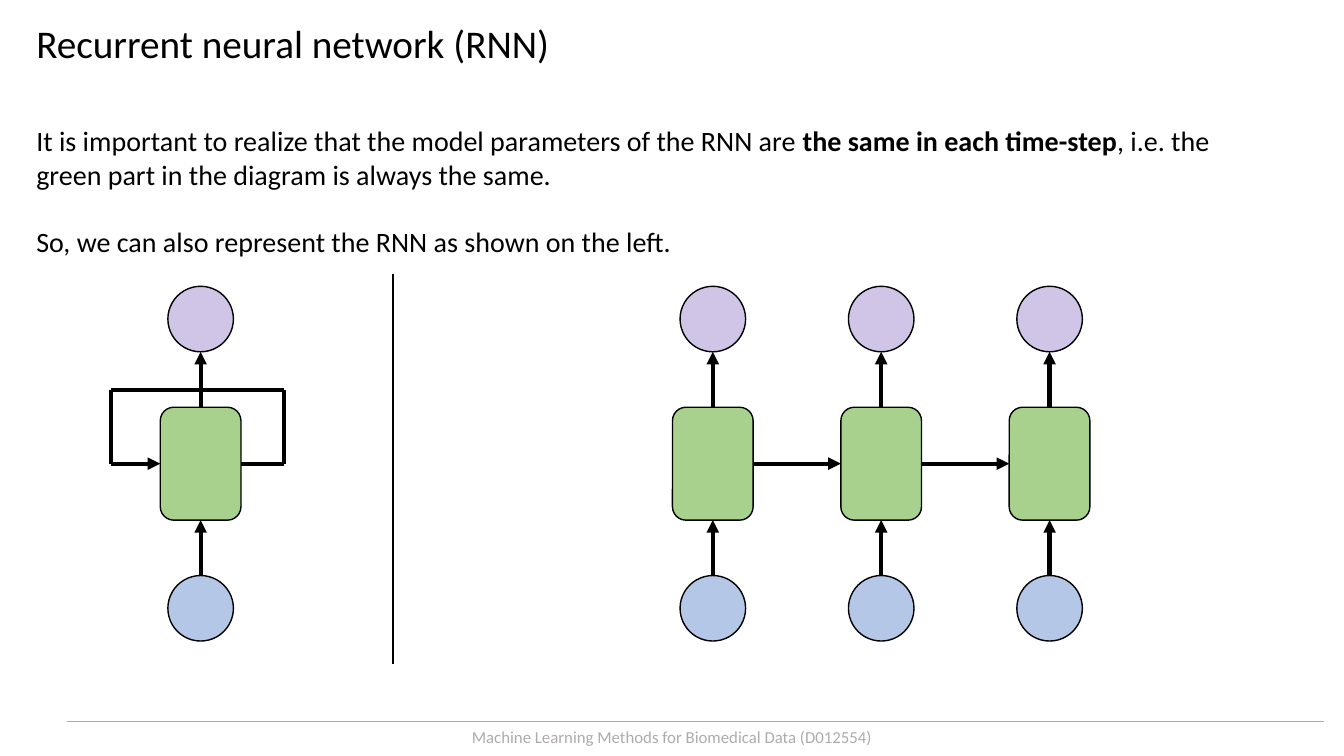
from lxml import etree
from pptx import Presentation
from pptx.dml.color import RGBColor
from pptx.enum.shapes import MSO_CONNECTOR, MSO_SHAPE
from pptx.enum.text import MSO_ANCHOR, MSO_AUTO_SIZE, PP_ALIGN
from pptx.oxml.ns import qn
from pptx.util import Inches, Pt

STRAIGHT = MSO_CONNECTOR.STRAIGHT
ROUNDED = MSO_SHAPE.ROUNDED_RECTANGLE
OVAL = MSO_SHAPE.OVAL
TOP = MSO_ANCHOR.TOP
NO_FIT = MSO_AUTO_SIZE.NONE
LEFT, CENTER = PP_ALIGN.LEFT, PP_ALIGN.CENTER
SIDE_TOP, SIDE_LEFT, SIDE_BOTTOM, SIDE_RIGHT = range(4)

COLORS = {
    "black": "000000",
    "cell": "A9D18E",
    "input": "B4C7E7",
    "output": "D0C5E7",
    "footer": "AFABAB",
}
FONT = "Calibri"

CELL_W, CELL_H, CELL_Y = 0.8, 1.12, 4.04
NODE_D, INPUT_Y, OUTPUT_Y = 0.65, 5.71, 2.84
MID_Y = CELL_Y + CELL_H / 2
FOLDED_X = 1.99
UNROLLED_X = [7.07 + 1.67 * i for i in range(3)]
LOOP_LEFT, LOOP_RIGHT, LOOP_TOP = 1.1, 2.82, 3.87


def rgb(name):
    return RGBColor.from_string(COLORS[name])


def write(p, text, size=20, color="black", bold=False, align=LEFT, before=0):
    p.alignment = align
    p.space_before = Pt(before)
    r = p.add_run()
    r.text = text
    r.font.name = FONT
    r.font.size = Pt(size)
    r.font.bold = bold
    r.font.color.rgb = rgb(color)


class SlideBuilder:
    def __init__(self, slide):
        self.s = slide

    def frame(self, sp, x, y, w, h):
        sp.left, sp.top, sp.width, sp.height = map(Inches, (x, y, w, h))
        tf = sp.text_frame
        tf.word_wrap = True
        tf.auto_size = NO_FIT
        tf.vertical_anchor = TOP
        return tf

    def title(self, text, *box):
        tf = self.frame(self.s.shapes.title, *box)
        write(tf.paragraphs[0], text, size=28)

    def body(self, paragraphs, *box):
        tf = self.frame(self.s.placeholders[1], *box)
        for i, runs in enumerate(paragraphs):
            p = tf.add_paragraph() if i else tf.paragraphs[0]
            pPr = p._p.get_or_add_pPr()
            pPr.set("marL", "0")
            pPr.set("indent", "0")
            etree.SubElement(pPr, qn("a:buNone"))
            for text, bold in runs:
                write(p, text, bold=bold, before=24 if i else 0)

    def label(self, text, *box, **style):
        sp = self.s.shapes.add_textbox(*map(Inches, box))
        write(self.frame(sp, *box).paragraphs[0], text, **style)

    def shape(self, kind, center_x, y, w, h, fill):
        box = (center_x - w / 2, y, w, h)
        sp = self.s.shapes.add_shape(kind, *map(Inches, box))
        sp.shadow.inherit = False
        sp.fill.solid()
        sp.fill.fore_color.rgb = rgb(fill)
        sp.line.color.rgb = rgb("black")
        sp.line.width = Pt(1)
        return sp

    def line(self, start, end, width=3, color="black", arrow=False,
             begin=None, finish=None):
        c = self.s.shapes.add_connector(STRAIGHT, *map(Inches, start + end))
        c.line.color.rgb = rgb(color)
        c.line.width = Pt(width)
        if arrow:
            etree.SubElement(c.get_or_add_ln(), qn("a:tailEnd"), type="triangle")
        etree.SubElement(c.element.spPr, qn("a:effectLst"))
        if begin:
            c.begin_connect(*begin)
        if finish:
            c.end_connect(*finish)

    def time_step(self, x):
        cell = self.shape(ROUNDED, x, CELL_Y, CELL_W, CELL_H, "cell")
        source = self.shape(OVAL, x, INPUT_Y, NODE_D, NODE_D, "input")
        self.shape(OVAL, x, OUTPUT_Y, NODE_D, NODE_D, "output")
        self.line((x, INPUT_Y), (x, CELL_Y + CELL_H), arrow=True,
                  begin=(source, SIDE_TOP), finish=(cell, SIDE_BOTTOM))
        self.line((x, CELL_Y), (x, OUTPUT_Y + NODE_D), arrow=True,
                  begin=(cell, SIDE_TOP))
        return cell

    def loop(self, cell, x):
        points = [
            (x + CELL_W / 2, MID_Y),
            (LOOP_RIGHT, MID_Y),
            (LOOP_RIGHT, LOOP_TOP),
            (LOOP_LEFT, LOOP_TOP),
            (LOOP_LEFT, MID_Y),
            (x - CELL_W / 2, MID_Y),
        ]
        last = len(points) - 2
        for i, (start, end) in enumerate(zip(points, points[1:])):
            self.line(start, end, arrow=i == last,
                      begin=(cell, SIDE_RIGHT) if i == 0 else None,
                      finish=(cell, SIDE_LEFT) if i == last else None)


def main():
    prs = Presentation()
    prs.slide_width, prs.slide_height = Inches(13.33), Inches(7.5)
    b = SlideBuilder(prs.slides.add_slide(prs.slide_layouts[1]))

    b.title("Recurrent neural network (RNN)", 0.26, 0.14, 12.85, 0.57)
    b.body([
        [("It is important to realize that the model parameters of the RNN are ", False),
         ("the same in each time-step", True),
         (", i.e. the green part in the diagram is always the same.", False)],
        [("So, we can also represent the RNN as shown on the left.", False)],
    ], 0.26, 1.18, 11.96, 1.78)

    b.loop(b.time_step(FOLDED_X), FOLDED_X)
    b.line((3.9, 2.72), (3.9, 6.59), width=1.5)

    cells = [b.time_step(x) for x in UNROLLED_X]
    for i, (cell, following) in enumerate(zip(cells, cells[1:])):
        b.line((UNROLLED_X[i] + CELL_W / 2, MID_Y),
               (UNROLLED_X[i + 1] - CELL_W / 2, MID_Y), arrow=True,
               begin=(cell, SIDE_RIGHT), finish=(following, SIDE_LEFT))

    b.label("Machine Learning Methods for Biomedical Data (D012554)",
            0.07, 7.16, 13.19, 0.3, size=12, color="footer", align=CENTER)
    b.line((0.66, 7.16), (13.13, 7.16), width=0.5, color="footer")
    prs.save("out.pptx")


if __name__ == "__main__":
    main()
